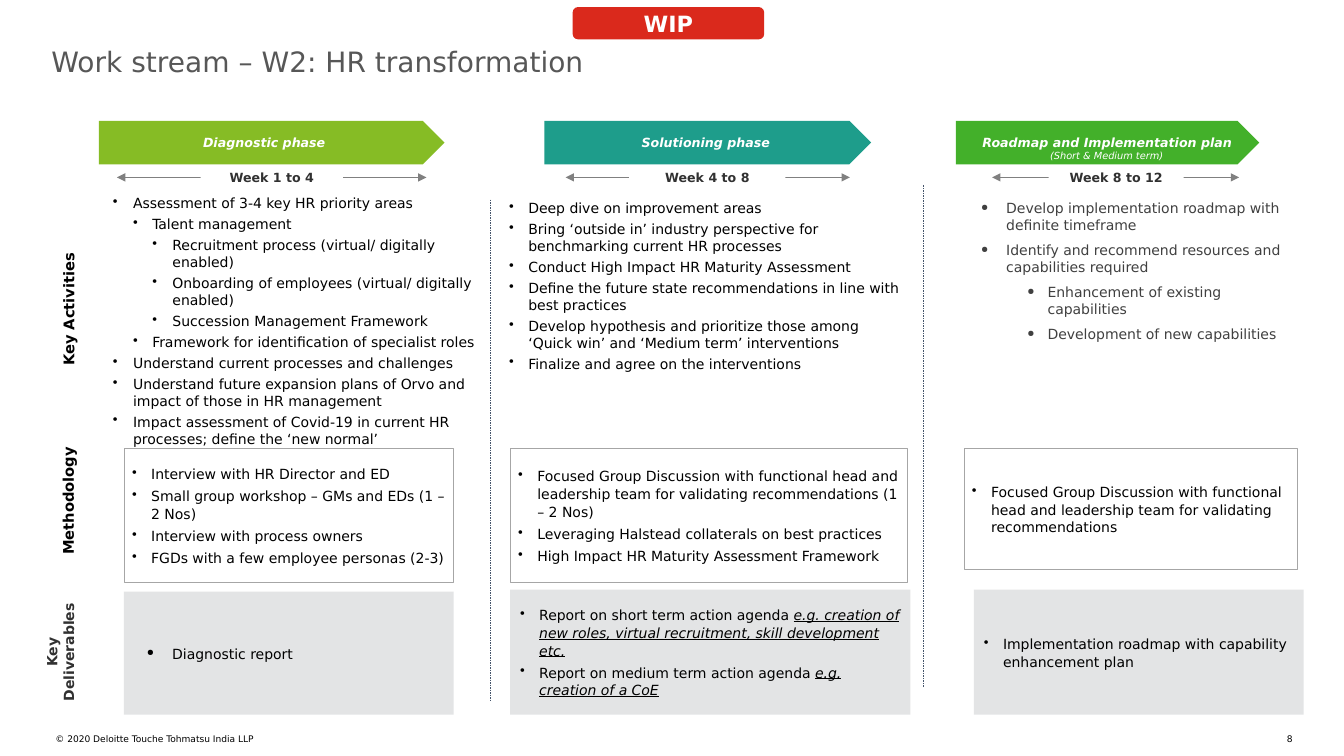
from lxml import etree
from pptx import Presentation
from pptx.dml.color import RGBColor
from pptx.enum.dml import MSO_LINE
from pptx.enum.shapes import MSO_CONNECTOR, MSO_SHAPE
from pptx.enum.text import MSO_ANCHOR, PP_ALIGN
from pptx.oxml.ns import qn
from pptx.util import Inches, Pt

STRAIGHT = MSO_CONNECTOR.STRAIGHT
RECTANGLE, PENTAGON, ROUNDED = MSO_SHAPE.RECTANGLE, MSO_SHAPE.PENTAGON, MSO_SHAPE.ROUNDED_RECTANGLE
TOP, MIDDLE = MSO_ANCHOR.TOP, MSO_ANCHOR.MIDDLE
LEFT, CENTER, RIGHT = PP_ALIGN.LEFT, PP_ALIGN.CENTER, PP_ALIGN.RIGHT
DASH = MSO_LINE.DASH

FONT = "DejaVu Sans"
COLORS = {
    "black": "000000", "white": "FFFFFF", "title": "575757", "dark": "313131",
    "soft": "404040", "wip": "DA291C", "diagnostic": "86BC25",
    "solutioning": "1E9D8B", "roadmap": "43B02A", "arrow": "808080",
    "divider": "44546A", "outline": "A6A6A6", "panel": "E3E4E5",
}
INDENTS = {
    "plain": (0.19, 0.19, "•", 100),
    "main": (0.59, 0.2, "•", 100),
    "sub": (0.78, 0.19, "•", 100),
    "detail": (0.98, 0.2, "•", 100),
    "round": (0.38, 0.25, "●", 65),
    "round sub": (0.79, 0.2, "●", 65),
}

TITLE = "Work stream – W2: HR transformation"
STATUS = "WIP"
COPYRIGHT = "© 2020 Deloitte Touche Tohmatsu India LLP"
PAGE = "8"
ROADMAP_TERM = "(Short & Medium term)"

PHASES = [
    {
        "name": "Diagnostic phase", "color": "diagnostic", "banner": (0.98, 3.43),
        "label": (1.2, 2.84), "weeks": "Week 1 to 4", "span": (1.16, 4.23),
        "weeks_box": (1.99, 1.41),
        "activities_box": (0.69, 1.93, 4.22, 2.37), "activities_format": {},
        "activities": [
            ("main", "Assessment of 3-4 key HR priority areas"),
            ("sub", "Talent management"),
            ("detail", "Recruitment process (virtual/ digitally enabled)"),
            ("detail", "Onboarding of employees (virtual/ digitally enabled)"),
            ("detail", "Succession Management Framework"),
            ("sub", "Framework for identification of specialist roles"),
            ("main", "Understand current processes and challenges"),
            ("main", "Understand future expansion plans of Orvo and impact of those in HR management"),
            ("main", "Impact assessment of Covid-19 in current HR processes; define the ‘new normal’"),
        ],
        "methods_box": (1.23, 4.45, 3.27, 1.33),
        "methods": [
            ("plain", "Interview with HR Director and ED"),
            ("plain", "Small group workshop – GMs and EDs (1 – 2 Nos)"),
            ("plain", "Interview with process owners"),
            ("plain", "FGDs with a few employee personas (2-3)"),
        ],
        "deliverables_box": (1.23, 5.87, 3.27, 1.22),
        "deliverables": [("round", "Diagnostic report")],
    },
    {
        "name": "Solutioning phase", "color": "solutioning", "banner": (5.4, 3.24),
        "label": (5.68, 2.64), "weeks": "Week 4 to 8", "span": (5.61, 8.43),
        "weeks_box": (6.24, 1.55),
        "activities_box": (5.01, 1.98, 4.02, 2.35), "activities_format": {},
        "activities": [
            ("plain", "Deep dive on improvement areas"),
            ("plain", "Bring ‘outside in’ industry perspective for benchmarking current HR processes"),
            ("plain", "Conduct High Impact HR Maturity Assessment"),
            ("plain", "Define the future state recommendations in line with best practices"),
            ("plain", "Develop hypothesis and prioritize those among ‘Quick win’ and ‘Medium term’ interventions"),
            ("plain", "Finalize and agree on the interventions"),
        ],
        "methods_box": (5.06, 4.45, 3.94, 1.33),
        "methods": [
            ("plain", "Focused Group Discussion with functional head and leadership team "
                      "for validating recommendations (1 – 2 Nos)"),
            ("plain", "Leveraging Halstead collaterals on best practices"),
            ("plain", "High Impact HR Maturity Assessment Framework"),
        ],
        "deliverables_box": (5.06, 5.85, 3.97, 1.24),
        "deliverables": [
            ("plain", "Report on short term action agenda ",
             "e.g. creation of new roles, virtual recruitment, skill development etc."),
            ("plain", "Report on medium term action agenda ", "e.g. creation of a CoE"),
        ],
    },
    {
        "name": "Roadmap and Implementation plan", "color": "roadmap", "banner": (9.48, 3.01),
        "label": (9.72, 2.52), "weeks": "Week 8 to 12", "span": (9.84, 12.29),
        "weeks_box": (10.4, 1.34),
        "activities_box": (9.56, 1.98, 3.31, 2.11),
        "activities_format": {"color": "soft", "after": 3},
        "activities": [
            ("round", "Develop implementation roadmap with definite timeframe"),
            ("round", "Identify and recommend resources and capabilities required"),
            ("round sub", "Enhancement of existing capabilities"),
            ("round sub", "Development of new capabilities"),
        ],
        "methods_box": (9.56, 4.45, 3.31, 1.2),
        "methods": [
            ("plain", "Focused Group Discussion with functional head and leadership team "
                      "for validating recommendations"),
        ],
        "deliverables_box": (9.66, 5.85, 3.27, 1.24),
        "deliverables": [("plain", "Implementation roadmap with capability enhancement plan")],
    },
]
ROW_LABELS = [
    (["Key Activities"], (-0.12, 2.88, 1.59, 0.38), {"size": 10.5, "anchor": MIDDLE, "spacing": 1.06}),
    (["Methodology"], (-0.01, 4.78, 1.36, 0.38), {"size": 10.5, "anchor": MIDDLE, "spacing": 1.06}),
    (["Key", "Deliverables"], (0.08, 6.3, 1.04, 0.34), {"color": "dark"}),
]
DIVIDERS = [(4.86, 1.98), (9.16, 1.84)]
DIVIDER_HEIGHT = 4.98
BANNER_TOP, LABEL_TOP, WEEKS_TOP, ARROW_Y = 1.2, 1.34, 1.69, 1.76


def rgb(name):
    return RGBColor.from_string(COLORS[name])


def add_bullet(paragraph, indent):
    left, hang, mark, percent = INDENTS[indent]
    props = paragraph._p.get_or_add_pPr()
    props.set("marL", str(Inches(left)))
    props.set("indent", str(-Inches(hang)))
    etree.SubElement(props, qn("a:buSzPct")).set("val", str(percent * 1000))
    etree.SubElement(props, qn("a:buChar")).set("char", mark)


def write(shape, lines, size=10, color="black", bold=False, italic=False, align=LEFT,
          anchor=TOP, inset=(0, 0), wrap=True, spacing=None, before=3, after=None):
    frame = shape.text_frame
    frame.word_wrap, frame.vertical_anchor = wrap, anchor
    frame.margin_left = frame.margin_right = Inches(inset[0])
    frame.margin_top = frame.margin_bottom = Inches(inset[1])
    for number, line in enumerate(lines):
        paragraph = frame.add_paragraph() if number else frame.paragraphs[0]
        indent, *parts = (None, line) if isinstance(line, str) else line
        if indent:
            add_bullet(paragraph, indent)
            if number:
                paragraph.space_before = Pt(before)
        if after:
            paragraph.space_after = Pt(after)
        if spacing:
            paragraph.line_spacing = spacing
        paragraph.alignment = align
        for position, part in enumerate(parts):
            run = paragraph.add_run()
            run.text = part
            run.font.name, run.font.size, run.font.bold = FONT, Pt(size), bold
            run.font.italic = italic or position > 0
            run.font.underline = position > 0
            run.font.color.rgb = rgb(color)


def add_text(box, lines, **format):
    area = slide.shapes.add_textbox(*map(Inches, box))
    write(area, lines, **format)
    return area


def add_block(kind, box, fill=None, outline=None):
    block = slide.shapes.add_shape(kind, *map(Inches, box))
    block.shadow.inherit = False
    if fill:
        block.fill.solid()
        block.fill.fore_color.rgb = rgb(fill)
    else:
        block.fill.background()
    if outline:
        block.line.color.rgb = rgb(outline)
        block.line.width = Pt(0.5)
    else:
        block.line.fill.background()
    return block


def add_line(x1, y1, x2, y2, color, width):
    line = slide.shapes.add_connector(STRAIGHT, *map(Inches, (x1, y1, x2, y2)))
    line.line.color.rgb = rgb(color)
    line.line.width = Pt(width)
    etree.SubElement(line._element.spPr, qn("a:effectLst"))
    return line


def add_phase(phase):
    x, width = phase["banner"]
    add_block(PENTAGON, (x, BANNER_TOP, width, 0.43), phase["color"])
    x, width = phase["label"]
    add_text((x, LABEL_TOP, width, 0.15), [phase["name"]], size=9, color="white",
             bold=True, italic=True, align=CENTER, anchor=MIDDLE)
    start, end = phase["span"]
    arrow = add_line(start, ARROW_Y, end, ARROW_Y, "arrow", 0.75)
    for tip in ("a:headEnd", "a:tailEnd"):
        etree.SubElement(arrow.line._get_or_add_ln(), qn(tip)).set("type", "triangle")
    x, width = phase["weeks_box"]
    weeks = add_block(RECTANGLE, (x, WEEKS_TOP, width, 0.15), "white")
    write(weeks, [phase["weeks"]], size=9, color="dark", bold=True, align=CENTER)
    add_text(phase["activities_box"], phase["activities"], inset=(0.04, 0), **phase["activities_format"])
    methods = add_block(RECTANGLE, phase["methods_box"], outline="outline")
    write(methods, phase["methods"], anchor=MIDDLE, inset=(0.08, 0.04), spacing=1.06)
    deliverables = add_block(RECTANGLE, phase["deliverables_box"], "panel")
    write(deliverables, phase["deliverables"], anchor=MIDDLE, inset=(0.1, 0.1), spacing=1.06)


def main():
    """Build the HR transformation work stream slide."""
    add_text((12.48, 7.28, 0.34, 0.11), [PAGE], size=6.5, align=RIGHT)
    add_text((0.55, 7.28, 5.86, 0.22), [COPYRIGHT], size=6.5)
    add_text((0.51, 0.44, 12.31, 0.76), [TITLE], size=20, color="title")
    status = add_block(ROUNDED, (5.68, 0.07, 1.9, 0.32), "wip")
    write(status, [STATUS], size=16, color="white", bold=True, align=CENTER,
          anchor=MIDDLE, inset=(0.1, 0.1), spacing=1.06)
    for phase in PHASES:
        add_phase(phase)
    add_text((10.3, 1.44, 1.35, 0.22), [ROADMAP_TERM], size=7, color="white",
             italic=True, align=CENTER, inset=(0.1, 0.05), wrap=False)
    for x, top in DIVIDERS:
        add_line(x, top, x, top + DIVIDER_HEIGHT, "divider", 0.25).line.dash_style = DASH
    for lines, box, format in ROW_LABELS:
        add_text(box, lines, bold=True, align=CENTER, **format).rotation = 270
    deck.save("out.pptx")


if __name__ == "__main__":
    deck = Presentation()
    deck.slide_width, deck.slide_height = Inches(13.33), Inches(7.5)
    slide = deck.slides.add_slide(deck.slide_layouts[6])
    main()
